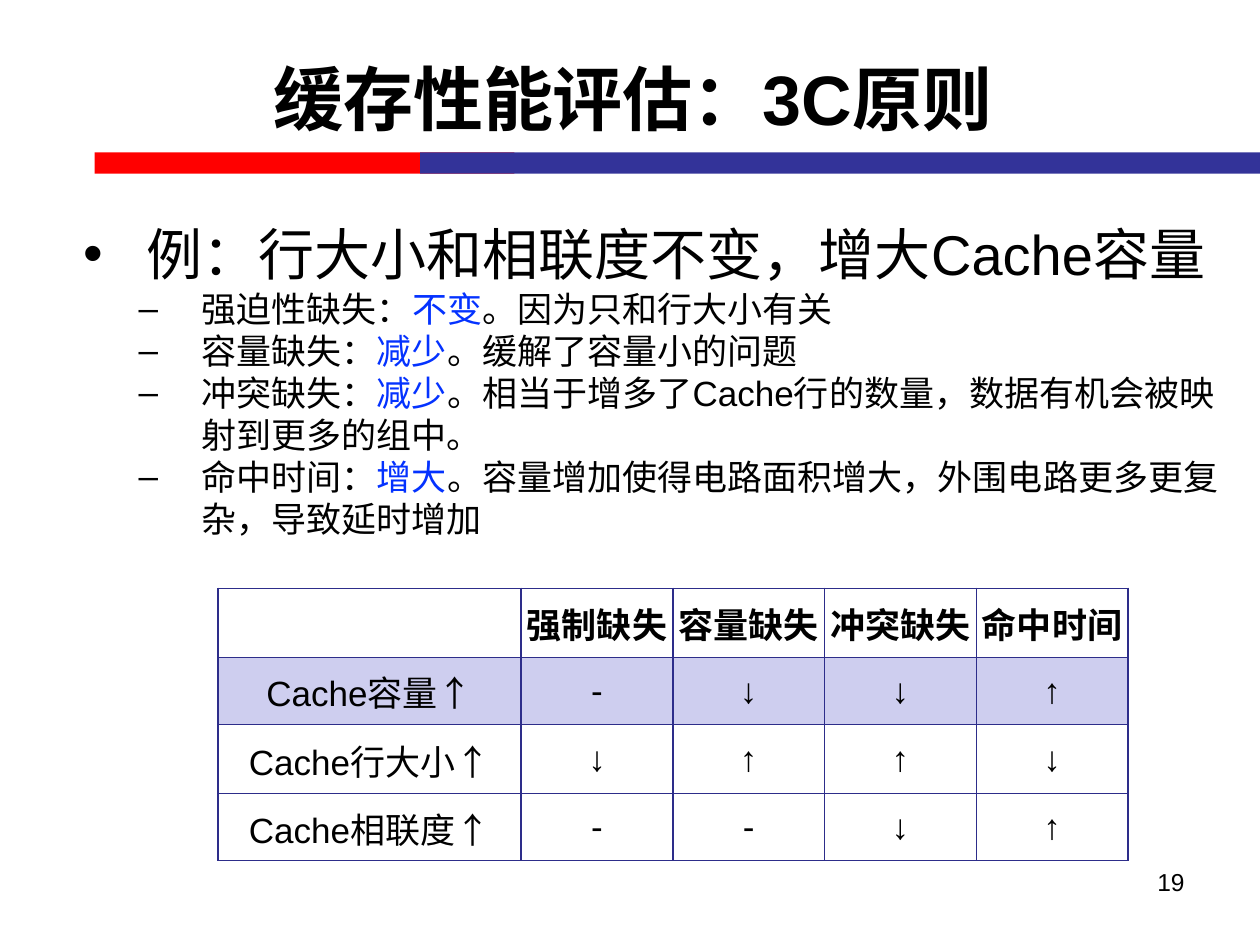
from lxml import etree
from pptx import Presentation
from pptx import util as u
from pptx.dml import color
from pptx.enum import shapes, text
from pptx.oxml import ns

Pt = u.Pt
theme = {
    "font": "Arial",
    "black": "000000", "accent": "0432FF", "red": "FF0000", "navy": "333399",
    "border": "2D2D8A", "highlight": "CECEEF",
    "title": 40, "heading": 32, "text": 20, "number": 14,
}


def add_run(paragraph, words, size, ink="black", bold=False):
    run = paragraph.add_run()
    run.text = words
    formats = {"name": theme["font"], "size": Pt(theme[size]), "bold": bold}
    for name, value in formats.items():
        setattr(run.font, name, value)
    run.font.color.rgb = color.RGBColor.from_string(theme[ink])


def place(shape, left, top, width, height):
    box = {"left": left, "top": top, "width": width, "height": height}
    for name, value in box.items():
        setattr(shape, name, Pt(value))


presentation = Presentation()
presentation.slide_width, presentation.slide_height = Pt(720), Pt(540)
slide = presentation.slides.add_slide(presentation.slide_layouts[1])

for left, width, fill in [(54, 240, "red"), (240, 480, "navy")]:
    bar = slide.shapes.add_shape(shapes.MSO_SHAPE.RECTANGLE, Pt(left), Pt(87.1), Pt(width), Pt(12.2))
    bar.shadow.inherit = False
    bar.fill.solid()
    bar.fill.fore_color.rgb = color.RGBColor.from_string(theme[fill])
    bar.line.fill.background()

title = slide.shapes.title
place(title, 11.5, 10.8, 700, 90)
title.text_frame.auto_size = text.MSO_AUTO_SIZE.NONE
title.text_frame.vertical_anchor = text.MSO_ANCHOR.MIDDLE
title_paragraph = title.text_frame.paragraphs[0]
title_paragraph.alignment = text.PP_ALIGN.CENTER
add_run(title_paragraph, "缓存性能评估：3C原则", "title", bold=True)

effects = [
    ("强迫性缺失：", "不变", "。因为只和行大小有关"),
    ("容量缺失：", "减少", "。缓解了容量小的问题"),
    ("冲突缺失：", "减少", "。相当于增多了Cache行的数量，数据有机会被映射到更多的组中。"),
    ("命中时间：", "增大", "。容量增加使得电路面积增大，外围电路更多更复杂，导致延时增加"),
]
body = slide.placeholders[1]
place(body, 36, 122.4, 676, 237.6)
frame = body.text_frame
frame.auto_size = text.MSO_AUTO_SIZE.NONE
frame.vertical_anchor = text.MSO_ANCHOR.TOP
for index, parts in enumerate([("例：行大小和相联度不变，增大Cache容量",), *effects]):
    paragraph = frame.add_paragraph() if index else frame.paragraphs[0]
    level, bullet, indent, size, spacing = (
        (1, "–", 72, "text", 24) if index else (0, "•", 40.3, "heading", 38)
    )
    formats = {"level": level, "space_before": Pt(0), "space_after": Pt(0), "line_spacing": Pt(spacing)}
    for name, value in formats.items():
        setattr(paragraph, name, value)
    properties = paragraph._p.get_or_add_pPr()
    properties.set("marL", str(Pt(indent)))
    properties.set("indent", str(Pt(-36)))
    etree.SubElement(properties, ns.qn("a:buFont"), typeface=theme["font"])
    etree.SubElement(properties, ns.qn("a:buChar"), char=bullet)
    for words, ink in zip(parts, ["black", "accent", "black"]):
        add_run(paragraph, words, size, ink)

rows = [
    ["", "强制缺失", "容量缺失", "冲突缺失", "命中时间"],
    ["Cache容量↑", "-", "↓", "↓", "↑"],
    ["Cache行大小↑", "↓", "↑", "↑", "↓"],
    ["Cache相联度↑", "-", "-", "↓", "↑"],
]
table = slide.shapes.add_table(4, 5, Pt(124.6), Pt(336.2), Pt(520), Pt(155.6)).table
for column, width in zip(table.columns, [173.2] + [86.7] * 4):
    column.width = Pt(width)
for row, height in zip(table.rows, [39.6, 38.2] * 2):
    row.height = Pt(height)
for row_index, row in enumerate(rows):
    for column_index, words in enumerate(row):
        cell = table.cell(row_index, column_index)
        formats = {
            "margin_left": Pt(0.72), "margin_right": Pt(0.72), "margin_top": Pt(0.72),
            "margin_bottom": 0, "vertical_anchor": text.MSO_ANCHOR.MIDDLE,
        }
        for name, value in formats.items():
            setattr(cell, name, value)
        properties = cell._tc.get_or_add_tcPr()
        for side in ["lnL", "lnR", "lnT", "lnB"]:
            line = etree.SubElement(properties, ns.qn(f"a:{side}"), w=str(Pt(1)))
            solid = etree.SubElement(line, ns.qn("a:solidFill"))
            etree.SubElement(solid, ns.qn("a:srgbClr"), val=theme["border"])
        if row_index == 1:
            cell.fill.solid()
            cell.fill.fore_color.rgb = color.RGBColor.from_string(theme["highlight"])
        else:
            cell.fill.background()
        if words:
            paragraph = cell.text_frame.paragraphs[0]
            paragraph.alignment = text.PP_ALIGN.CENTER
            add_run(paragraph, words, "text", bold=row_index == 0)

number = slide.shapes.add_textbox(Pt(516), Pt(491.8), Pt(168), Pt(37.4))
number.text_frame.word_wrap = True
number_paragraph = number.text_frame.paragraphs[0]
number_paragraph.alignment = text.PP_ALIGN.RIGHT
add_run(number_paragraph, "19", "number")

presentation.save("out.pptx")
